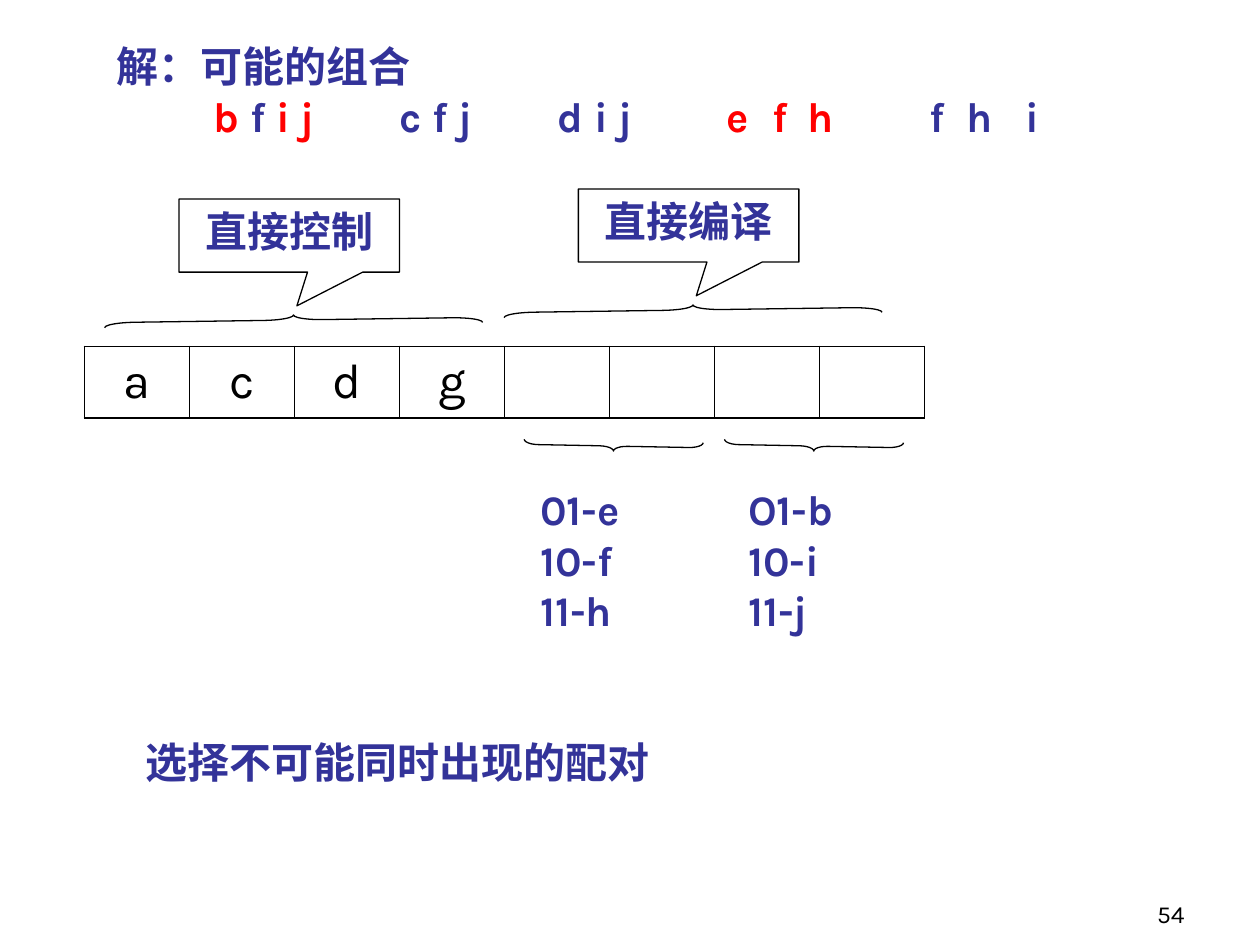
from dataclasses import dataclass

from lxml.etree import SubElement
from pptx import Presentation
from pptx.dml.color import RGBColor
from pptx.enum.shapes import MSO_SHAPE as Shape
from pptx.enum.text import MSO_ANCHOR as Anchor, PP_ALIGN as Align
from pptx.oxml.ns import qn
from pptx.util import Inches, Pt


@dataclass(frozen=True)
class Theme:
    font: str = "Karla"
    blue: str = "333399"
    red: str = "FF0000"
    black: str = "000000"
    body: int = 24
    cell: int = 28
    number: int = 14
    outline: float = 0.75
    outer_border: float = 1.08
    inner_border: float = 0.45


T = Theme()

TITLE = "解：可能的组合"
# Tab position of each group in inches, then its (text, colour) runs
COMBINATIONS = [
    (0.77, [("b", T.red), (" f ", T.blue), ("i j", T.red)]),
    (2.24, [("c f j", T.blue)]),
    (3.5, [("d i j", T.blue)]),
    (4.84, [("e", T.red)]),
    (5.2, [("f", T.red)]),
    (5.48, [("h", T.red)]),
    (6.45, [("f", T.blue)]),
    (6.74, [("h", T.blue)]),
    (7.21, [("i", T.blue)]),
]
FIELDS = ["a", "c", "d", "g", "", "", "", ""]
CALLOUTS = [("直接控制", 1.42, 1.58), ("直接编译", 4.59, 1.5)]
# Centre x, centre y, span, rotation, arm curve
BRACES = [
    (2.33, 2.54, 3, 89.2, 3),
    (5.5, 2.46, 3, 89.2, 3),
    (4.87, 3.54, 1.42, 271.1, 1.42),
    (6.46, 3.54, 1.42, 271.1, 1.42),
]
CODES = [
    (4.19, 0.91, ["01-e", "10-f", "11-h"]),
    (5.84, 0.97, ["O1-b", "10-i", "11-j"]),
]
CONCLUSION = "选择不可能同时出现的配对"
PAGE = "54"
BRACE_DEPTH = 0.08


def add_run(p, text, color=T.blue, size=T.body, bold=True):
    r = p.add_run()
    r.text = text
    r.font.name = T.font
    r.font.size = Pt(size)
    r.font.bold = bold
    r.font.color.rgb = RGBColor.from_string(color)


def add_text(slide, box, lines, wrap=True):
    """Add a text box with one paragraph per line and return its frame."""
    tf = slide.shapes.add_textbox(*map(Inches, box)).text_frame
    tf.word_wrap = wrap
    for i, line in enumerate(lines):
        p = tf.add_paragraph() if i else tf.paragraphs[0]
        add_run(p, line)
    return tf


def add_outline(slide, kind, box):
    sp = slide.shapes.add_shape(kind, *map(Inches, box))
    sp.shadow.inherit = False
    sp.fill.background()
    sp.line.color.rgb = RGBColor.from_string(T.black)
    sp.line.width = Pt(T.outline)
    return sp


def add_combinations(slide):
    tf = add_text(slide, (0.83, 0.27, 8.43, 0.9), [TITLE])
    p = tf.add_paragraph()
    tabs = SubElement(p._p.get_or_add_pPr(), qn("a:tabLst"))
    for position, runs in COMBINATIONS:
        SubElement(tabs, qn("a:tab"), pos=str(Inches(position)), algn="l")
        add_run(p, "\t")
        for text, color in runs:
            add_run(p, text, color)


def set_border(cell, side, width):
    ln = SubElement(cell._tc.get_or_add_tcPr(), qn(f"a:ln{side}"), w=str(Pt(width)))
    fill = SubElement(ln, qn("a:solidFill"))
    SubElement(fill, qn("a:srgbClr"), val=T.black)


def add_fields(slide):
    box = map(Inches, (0.67, 2.75, 6.67, 0.57))
    table = slide.shapes.add_table(1, len(FIELDS), *box).table
    table.first_row = table.horz_banding = False
    last = len(FIELDS) - 1
    for i, text in enumerate(FIELDS):
        cell = table.cell(0, i)
        cell.vertical_anchor = Anchor.MIDDLE
        widths = {
            "L": T.inner_border if i else T.outer_border,
            "R": T.inner_border if i < last else T.outer_border,
            "T": T.outer_border,
            "B": T.outer_border,
        }
        for side, width in widths.items():
            set_border(cell, side, width)
        cell.fill.background()
        p = cell.text_frame.paragraphs[0]
        p.alignment = Align.CENTER
        if text:
            add_run(p, text, T.black, T.cell, False)


def add_callout(slide, text, left, top):
    sp = add_outline(slide, Shape.RECTANGULAR_CALLOUT, (left, top, 1.75, 0.58))
    sp.adjustments[0], sp.adjustments[1] = 0.035, 0.961
    tf = sp.text_frame
    tf.vertical_anchor = Anchor.TOP
    p = tf.paragraphs[0]
    p.alignment = Align.CENTER
    add_run(p, text)


def add_brace(slide, x, y, span, rotation, curve):
    box = (x - BRACE_DEPTH / 2, y - span / 2, BRACE_DEPTH, span)
    sp = add_outline(slide, Shape.LEFT_BRACE, box)
    sp.adjustments[0] = curve
    sp.rotation = rotation


def add_page_number(slide):
    tf = add_text(slide, (7.42, 6.92, 2.08, 0.5), [])
    tf.vertical_anchor = Anchor.BOTTOM
    p = tf.paragraphs[0]
    p.alignment = Align.RIGHT
    add_run(p, PAGE, T.black, T.number, False)


def main():
    prs = Presentation()
    prs.slide_width, prs.slide_height = Inches(10), Inches(7.5)
    slide = prs.slides.add_slide(prs.slide_layouts[6])
    add_page_number(slide)
    add_combinations(slide)
    add_fields(slide)
    for brace in BRACES:
        add_brace(slide, *brace)
    for callout in CALLOUTS:
        add_callout(slide, *callout)
    for left, width, lines in CODES:
        add_text(slide, (left, 3.79, width, 1.3), lines, wrap=False)
    add_text(slide, (1.06, 5.8, 7.17, 0.5), [CONCLUSION])
    prs.save("out.pptx")


if __name__ == "__main__":
    main()
